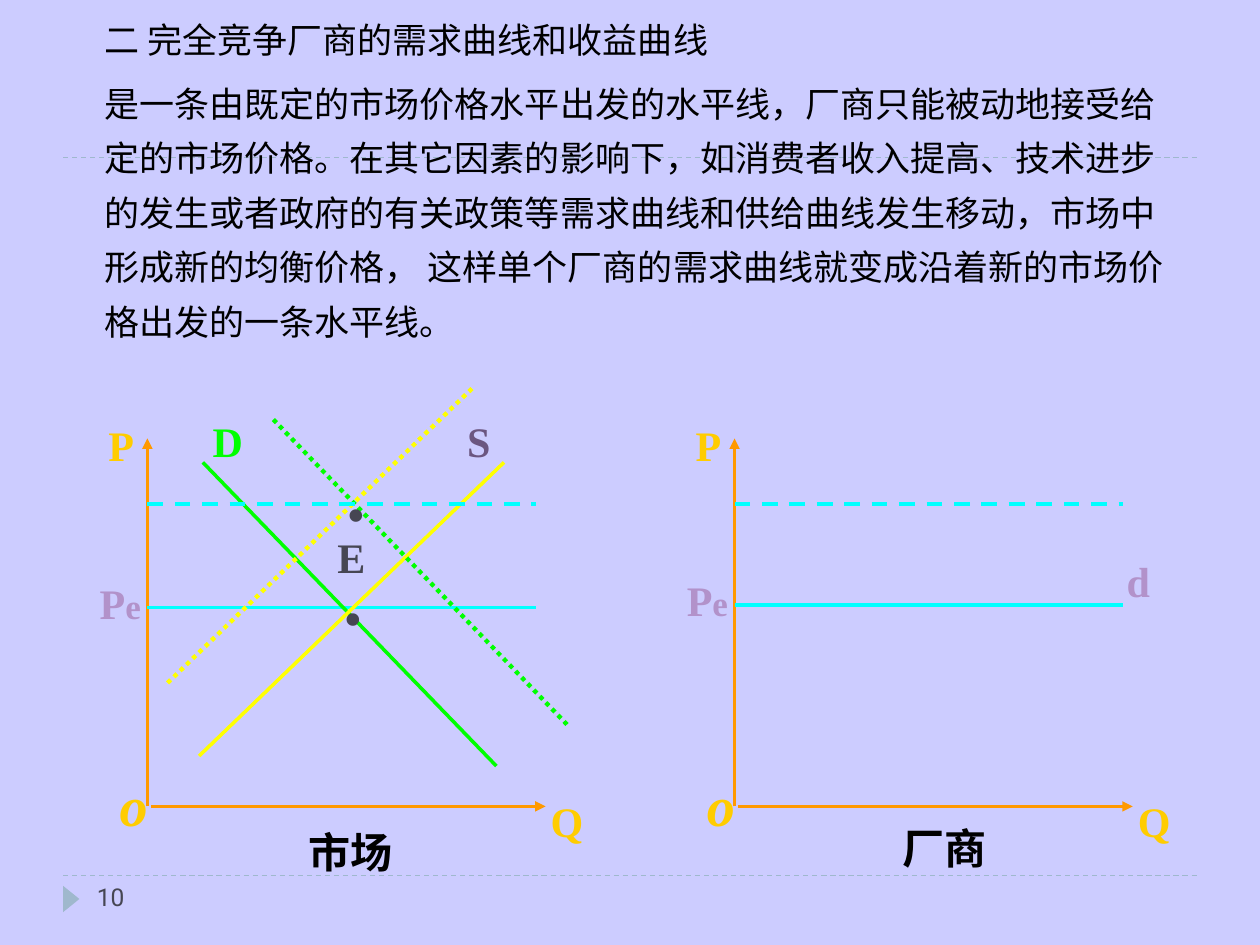
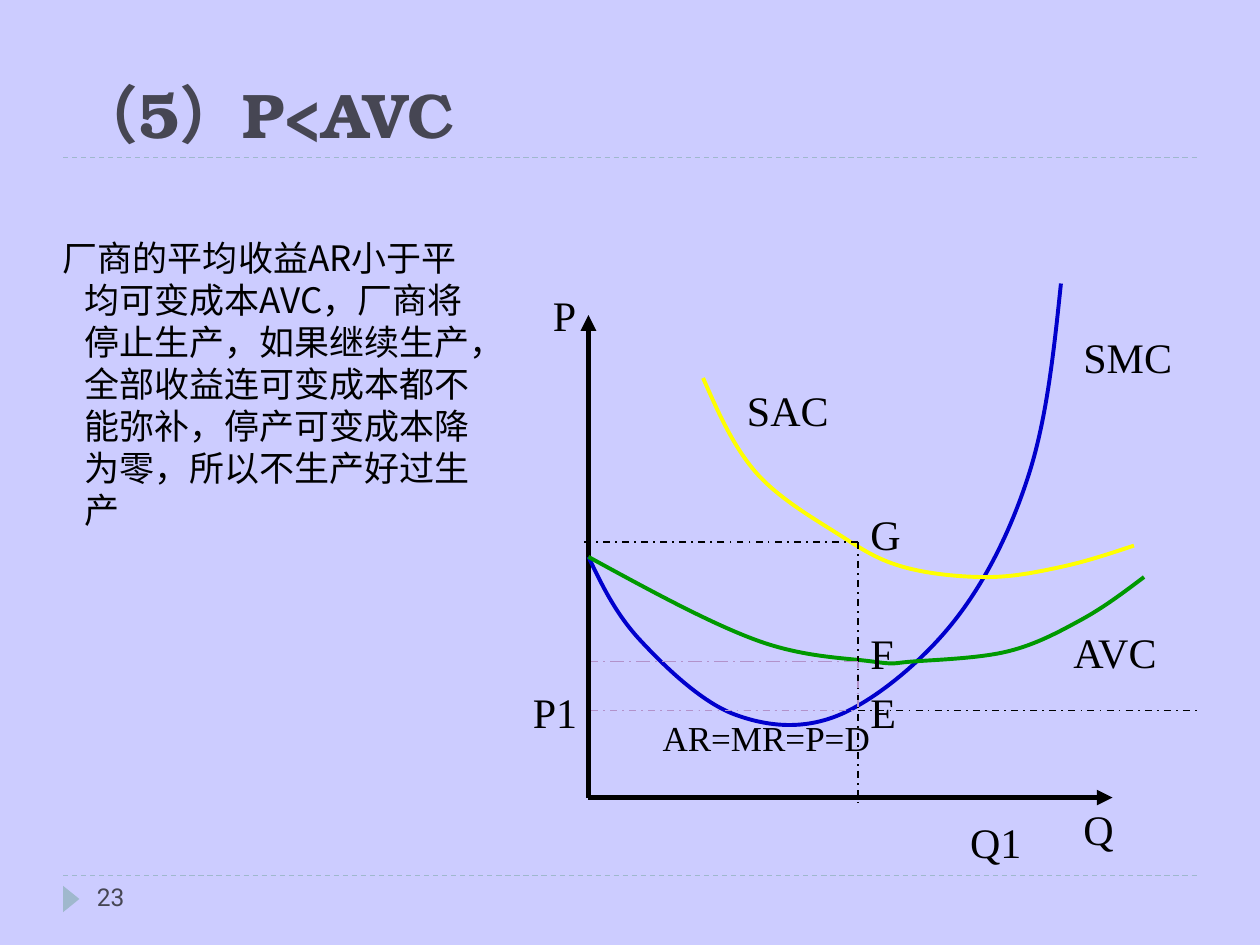
from dataclasses import dataclass
from typing import Any

from lxml.etree import SubElement
from pptx import Presentation
from pptx.dml.color import RGBColor
from pptx.enum.dml import MSO_LINE as DASH
from pptx.enum.shapes import MSO_CONNECTOR, MSO_SHAPE
from pptx.enum.text import MSO_ANCHOR, PP_ALIGN
from pptx.oxml.ns import qn
from pptx.util import Pt

PX = 9144  # 100 px to the inch
COLORS = {
    "background": "CCCCFF", "rule": "9FB8CD", "dark": "464653",
    "black": "000000", "axis": "FF9900", "axis_name": "FFCC00",
    "demand": "00FF00", "supply": "FFFF00", "supply_name": "6B5680",
    "price": "00FFFF", "mauve": "B292CA",
    "smc": "0000CC", "avc": "009900", "sac": "FFFF00",
}
SERIF, SANS, CJK = "Times New Roman", "Roboto", "Noto Sans CJK SC"
TITLE_FONT = "TeX Gyre Bonum"
PLAIN_INSETS = (10, 5, 10, 5)
GRAPH_INSETS = (28, 0, 4, 17)


def rgb(color):
    return RGBColor.from_string(COLORS[color])


def add_run(paragraph, text, size, font, color, bold, italic):
    run = paragraph.add_run()
    run.text = text
    run.font.size = Pt(size)
    run.font.name = font
    run.font.bold, run.font.italic = bold, italic
    run.font.color.rgb = rgb(color)
    SubElement(run.font._element, qn("a:ea"), typeface=CJK)


@dataclass
class Panel:
    """A region of a slide; all its parts are placed relative to (x, y)."""
    slide: Any
    x: int = 0
    y: int = 0

    def emu(self, point):
        return (self.x + point[0]) * PX, (self.y + point[1]) * PX

    def line(self, start, end, color, width, dash=None, arrow=False):
        connector = self.slide.shapes.add_connector(
            MSO_CONNECTOR.STRAIGHT, *self.emu(start), *self.emu(end))
        connector.line.color.rgb = rgb(color)
        connector.line.width = Pt(width)
        if dash:
            connector.line.dash_style = dash
        if arrow:
            SubElement(connector.line._get_or_add_ln(), qn("a:tailEnd"), type="triangle")
        SubElement(connector._element.spPr, qn("a:effectLst"))

    def text(self, box, paragraphs, size=24, color="black", font=SERIF,
             bold=False, italic=False, align=PP_ALIGN.LEFT, insets=PLAIN_INSETS,
             spacing=None, before=0, anchor=MSO_ANCHOR.TOP):
        """Each paragraph is a list of (text, size) runs; a string is one run."""
        left, top, width, height = box
        frame = self.slide.shapes.add_textbox(
            *self.emu((left, top)), width * PX, height * PX).text_frame
        frame.word_wrap = True
        frame.vertical_anchor = anchor
        (frame.margin_left, frame.margin_top,
         frame.margin_right, frame.margin_bottom) = (inset * PX for inset in insets)
        if isinstance(paragraphs, str):
            paragraphs = [[(paragraphs, size)]]
        for index, runs in enumerate(paragraphs):
            paragraph = frame.add_paragraph() if index else frame.paragraphs[0]
            paragraph.alignment = align
            if spacing:
                paragraph.line_spacing = spacing
            if index:
                paragraph.space_before = Pt(before)
            for words, run_size in runs:
                add_run(paragraph, words, run_size, font, color, bold, italic)
        return frame

    def graph_label(self, box, words, color="axis_name", size=24, italic=False):
        self.text(box, words, size, color, bold=True, italic=italic,
                  align=PP_ALIGN.CENTER, insets=GRAPH_INSETS, spacing=1.4)

    def curve(self, knots, color):
        """Smooth curve through the knots, with Catmull-Rom tangents."""
        points = [self.emu(knot) for knot in knots]
        builder = self.slide.shapes.build_freeform(*points[0], scale=1)
        builder.add_line_segments(points[1:], close=False)
        shape = builder.convert_to_shape()
        shape.shadow.inherit = False
        shape.fill.background()
        shape.line.color.rgb = rgb(color)
        shape.line.width = Pt(2.25)
        segments = list(shape._element.iter(qn("a:lnTo")))
        for index, segment in enumerate(segments):
            segment.tag = qn("a:cubicBezTo")
            end_point = segment[0]
            for cx, cy in bezier_controls(points, index):
                end_point.addprevious(end_point.makeelement(qn("a:pt"), {
                    "x": str(round(cx - shape.left)), "y": str(round(cy - shape.top))}))


def bezier_controls(points, index):
    start, end = points[index], points[index + 1]

    def control(knot, before, after, sign):
        return tuple(k + sign * (a - b) / 6 for k, b, a in zip(knot, before, after))

    def midpoint(one, other):
        return tuple((a + b) / 2 for a, b in zip(one, other))

    first = control(start, points[index - 1], end, 1) if index else None
    if index + 2 < len(points):
        second = control(end, start, points[index + 2], -1)
    else:
        second = midpoint(first, end)
    return first or midpoint(start, second), second


def new_slide(deck, number):
    """Slide with the shared background, rules, footer marker and number."""
    slide = deck.slides.add_slide(deck.slide_layouts[6])
    slide.background.fill.solid()
    slide.background.fill.fore_color.rgb = rgb("background")
    page = Panel(slide)
    for rule_y in (695, 125):
        page.line((50, rule_y), (950, rule_y), "rule", 0.75, DASH.DASH)
    marker = slide.shapes.add_shape(
        MSO_SHAPE.ISOSCELES_TRIANGLE, 46 * PX, 707 * PX, 21 * PX, 13 * PX)
    marker.rotation = 90
    marker.shadow.inherit = False
    marker.fill.solid()
    marker.fill.fore_color.rgb = rgb("rule")
    marker.line.fill.background()
    page.text((67, 695, 217, 40), number, 14, "dark", SANS)
    return page


def price_graph(slide, origin, price_y, caption, caption_box):
    """Axes with the old and the new price line; (0, 0) is the origin."""
    graph = Panel(slide, *origin)
    graph.line((3, 0), (316, 0), "axis", 1.75, arrow=True)
    graph.line((0, 0), (0, -292), "axis", 1.75, arrow=True)
    graph.graph_label((-50, -50, 54, 89), "o", size=32, italic=True)
    graph.graph_label((292, -25, 58, 73), "Q")
    graph.graph_label((-59, -323, 52, 73), "P")
    graph.graph_label((-75, price_y - 40, 83, 73), [[("P", 24), ("e", 20)]], "mauve")
    graph.line((0, price_y), (308, price_y), "price", 2)
    graph.text(caption_box, caption, font="Arial", bold=True, align=PP_ALIGN.CENTER)
    return graph


def new_price_line(graph):
    graph.line((0, -240), (308, -240), "price", 2.25, DASH.DASH)


def market_graph(slide, origin):
    graph = price_graph(slide, origin, -158, "市场", (91, 11, 140, 50))
    graph.line((44, -273), (277, -32), "demand", 2)
    graph.line((41, -40), (283, -273), "supply", 2)
    for name, left, top, color in (("D", 42, -315, "demand"),
                                   ("S", 244, -315, "supply_name"),
                                   ("E", 141, -223, "dark")):
        graph.text((left, top, 44, 50), name, color=color, bold=True)
    graph.graph_label((125, -218, 47, 120), "·", "dark", 44)
    graph.line((100, -307), (333, -65), "demand", 2.5, DASH.ROUND_DOT)
    graph.line((16, -98), (258, -332), "supply", 2.5, DASH.ROUND_DOT)
    graph.graph_label((128, -301, 47, 120), "·", "dark", 44)
    new_price_line(graph)


def firm_graph(slide, origin):
    graph = price_graph(slide, origin, -160, "厂商", (92, 8, 150, 50))
    graph.graph_label((267, -215, 83, 73), "d", "mauve")
    new_price_line(graph)


def demand_slide(deck):
    page = new_slide(deck, "10")
    page.text((73, 0, 867, 234), [
        [("二 完全竞争厂商的需求曲线和收益曲线", 20)],
        [("是一条由既定的市场价格水平出发的水平线，厂商只能被动地接受给定的市场价格。"
          "在其它因素的影响下，如消费者收入提高、技术进步的发生或者政府的有关政策等"
          "需求曲线和供给曲线发生移动，市场中形成新的均衡价格， 这样单个厂商的需求曲线"
          "就变成沿着新的市场价格出发的一条水平线。", 20)],
    ], font=SANS, spacing=1.3, before=5)
    market_graph(page.slide, (117, 640))
    firm_graph(page.slide, (583, 640))


def cost_graph(slide, origin):
    """Cost curves over output; (0, 0) is the origin of the axes."""
    graph = Panel(slide, *origin)
    graph.line((0, 0), (416, 0), "black", 3, arrow=True)
    graph.line((0, 0), (0, -383), "black", 3, arrow=True)
    graph.curve([(0, -191), (41, -125), (116, -66), (200, -66),
                 (291, -141), (350, -258), (375, -408)], "smc")
    graph.curve([(0, -191), (133, -125), (225, -108), (258, -108),
                 (333, -116), (391, -141), (441, -175)], "avc")
    graph.curve([(91, -333), (133, -258), (200, -208), (250, -183),
                 (316, -175), (375, -183), (433, -200)], "sac")

    output_x, g_y, f_y, e_y = 214, -203, -108, -69
    for start, end, color, dash in (
            ((2, e_y), (485, e_y), "black", DASH.DASH_DOT),
            ((output_x, g_y), (output_x, 4), "black", DASH.DASH_DOT),
            ((output_x, g_y), (-6, g_y), "black", DASH.DASH_DOT),
            ((output_x, f_y), (2, f_y), "mauve", DASH.LONG_DASH_DOT),
            ((2, e_y), (output_x, e_y), "mauve", DASH.DASH_DOT),
            ((output_x, f_y), (output_x, e_y), "mauve", DASH.DASH_DOT)):
        graph.line(start, end, color, 1, dash)

    for name, left, top in (
            ("P", -38, -408), ("Q", 383, 0), ("SMC", 383, -375),
            ("SAC", 116, -333), ("AVC", 375, -141), ("P1", -54, -93),
            ("E", output_x, -93), ("F", output_x, -140),
            ("G", output_x, -234), ("Q1", 293, 10)):
        graph.text((left, top, 99, 50), name)
    graph.text((49, -69, 208, 44), "AR=MR=P=D", 20)


def shutdown_slide(deck):
    page = new_slide(deck, "23")
    page.text((50, 17, 900, 108), "（5）P<AVC", 36, "dark", TITLE_FONT,
              bold=True, anchor=MSO_ANCHOR.BOTTOM)
    reason = page.text(
        (27, 183, 362, 450),
        "厂商的平均收益AR小于平均可变成本AVC，厂商将停止生产，如果继续生产，"
        "全部收益连可变成本都不能弥补，停产可变成本降为零，所以不生产好过生产",
        20, font=CJK)
    hanging = reason.paragraphs[0]._p.get_or_add_pPr()
    hanging.set("marL", str(30 * PX))
    hanging.set("indent", str(-17 * PX))
    cost_graph(page.slide, (467, 633))


def main():
    deck = Presentation()
    deck.slide_width, deck.slide_height = 1000 * PX, 750 * PX
    demand_slide(deck)
    shutdown_slide(deck)
    deck.save("out.pptx")


if __name__ == "__main__":
    main()
